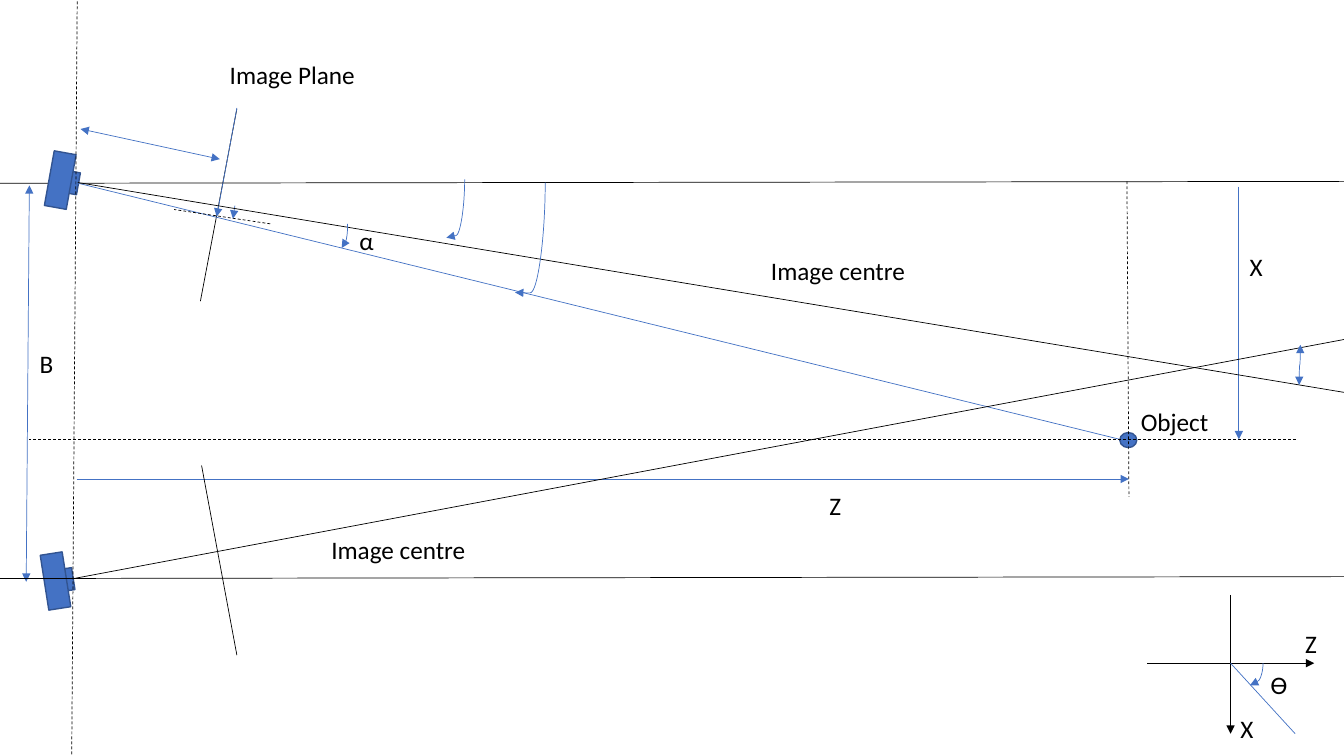
from lxml.etree import SubElement
from pptx import Presentation
from pptx.dml.color import RGBColor
from pptx.enum.dml import MSO_LINE
from pptx.enum.shapes import MSO_CONNECTOR, MSO_SHAPE
from pptx.enum.text import MSO_AUTO_SIZE, PP_ALIGN
from pptx.oxml.ns import qn
from pptx.util import Cm, Pt

BLACK = RGBColor(0x00, 0x00, 0x00)
BLUE = RGBColor(0x44, 0x72, 0xC4)
DARK_BLUE = RGBColor(0x32, 0x54, 0x91)
FONT = "Calibri"

HEAD, TAIL = "headEnd", "tailEnd"
BOTH = (HEAD, TAIL)
END = (TAIL,)

UPPER_LINES = [
    ((5.97, 2.74), (5.05, 7.59), {}),
    ((-0.97, 4.62), (34.32, 4.57), {}),
]

CAMERAS = [
    {"lens": (1.6, 4.32), "body": (1.24, 3.84), "angle": 10.2},
    {"lens": (1.47, 14.33), "body": (1.12, 13.94), "angle": 351.1},
]
LENS_SIZE = (0.38, 0.56)
BODY_SIZE = (0.56, 1.4)
OBJECT_DOT = (28.22, 10.9, 0.43, 0.38)

LINES = [
    ((31.01, 14.99), (31.01, 18.49), {"arrows": END}),
    ((28.91, 16.71), (33.12, 16.71), {"arrows": END}),
    ((31.01, 16.71), (32.64, 18.49), {"color": BLUE}),
    ((1.98, 4.62), (28.22, 11.07), {"color": BLUE}),
    ((2.03, 3.25), (5.54, 4.01), {"color": BLUE, "arrows": BOTH}),
    ((1.96, -1.98), (1.8, 20.02), {"dashed": True}),
    ((28.4, 4.57), (28.45, 12.52), {"dashed": True}),
    ((32.66, 11.07), (0.74, 11.07), {"dashed": True}),
    ((1.93, 12.07), (28.45, 12.07), {"color": BLUE, "arrows": END}),
    ((5.97, 2.72), (5.46, 5.46), {"color": BLUE, "arrows": END}),
    ((6.81, 5.64), (4.39, 5.28), {"dashed": True}),
    ((5.92, 5.18), (5.87, 5.51), {"color": BLUE, "arrows": END}),
    ((31.22, 4.7), (31.22, 11.07), {"color": BLUE, "arrows": END}),
    ((1.96, 4.6), (40.89, 11.05), {}),
    ((1.85, 14.58), (39.9, 7.42), {}),
    ((5.08, 11.73), (5.97, 16.51), {}),
    ((0.74, 4.67), (0.66, 14.66), {"color": BLUE, "arrows": BOTH}),
    ((-1.4, 14.58), (33.88, 14.53), {}),
]

ANGLE_ARCS = [
    ((31.83, 16.71), (31.5, 17.27), 85000, END),
    ((8.76, 5.64), (8.61, 6.25), 79600, END),
    ((11.71, 4.52), (11.25, 5.99), 96900, END),
    ((13.74, 4.6), (12.98, 7.37), 100400, END),
    ((32.77, 8.69), (32.74, 9.7), 50000, BOTH),
]

LABELS = [
    ("Z", 32.64, 15.72, 0.97),
    ("X", 31.01, 17.86, 0.97),
    ("ϴ", 31.77, 16.74, 1.1),
    ("Image Plane", 5.54, 1.37, 4.98),
    ("Image centre", 19.18, 6.32, 4.06),
    ("Object", 28.5, 10.11, 3.1),
    ("α", 8.81, 5.56, 2.13),
    ("Z", 20.65, 12.22, 0.91),
    ("X", 31.24, 6.22, 0.91),
    ("Image centre", 8.1, 13.34, 4.06),
]
BASELINE_LABEL = ("B", 0.66, 8.66, 1.02)


def add_line(s, start, end, color=BLACK, dashed=False, arrows=(),
             kind=MSO_CONNECTOR.STRAIGHT):
    c = s.shapes.add_connector(kind, *(Cm(v) for v in start + end))
    c.line.color.rgb = color
    c.line.width = Pt(0.5)
    if dashed:
        c.line.dash_style = MSO_LINE.DASH
    ln = c.line._get_or_add_ln()
    for arrow in arrows:
        SubElement(ln, qn("a:" + arrow)).set("type", "triangle")
    SubElement(c._element.spPr, qn("a:effectLst"))
    return c


def add_arc(s, start, end, bend, arrows):
    mid_x, mid_y = (start[0] + end[0]) / 2, (start[1] + end[1]) / 2
    half_w, half_h = (end[1] - start[1]) / 2, (start[0] - end[0]) / 2
    c = add_line(s, (mid_x - half_w, mid_y - half_h),
                 (mid_x + half_w, mid_y + half_h),
                 color=BLUE, arrows=arrows, kind=MSO_CONNECTOR.CURVE)
    sp_pr = c._element.spPr
    sp_pr.find(qn("a:xfrm")).set("rot", "5400000")
    guides = sp_pr.find(qn("a:prstGeom")).find(qn("a:avLst"))
    gd = SubElement(guides, qn("a:gd"))
    gd.set("name", "adj1")
    gd.set("fmla", f"val {bend}")


def add_solid(shapes, kind, box, angle=0):
    sp = shapes.add_shape(kind, *(Cm(v) for v in box))
    sp.rotation = angle
    sp.shadow.inherit = False
    sp.fill.solid()
    sp.fill.fore_color.rgb = BLUE
    sp.line.color.rgb = DARK_BLUE
    sp.line.width = Pt(1)


def add_label(s, text, left, top, width, align=PP_ALIGN.LEFT):
    tf = s.shapes.add_textbox(Cm(left), Cm(top), Cm(width), Cm(1.02)).text_frame
    tf.word_wrap = True
    tf.auto_size = MSO_AUTO_SIZE.SHAPE_TO_FIT_TEXT
    p = tf.paragraphs[0]
    p.alignment = align
    r = p.add_run()
    r.text = text
    r.font.name = FONT
    r.font.size = Pt(18)
    r.font.color.rgb = BLACK


def main():
    prs = Presentation()
    prs.slide_width, prs.slide_height = Cm(33.87), Cm(19.05)
    s = prs.slides.add_slide(prs.slide_layouts[6])

    for start, end, style in UPPER_LINES:
        add_line(s, start, end, **style)
    for camera in CAMERAS:
        group = s.shapes.add_group_shape()
        for part, size in (("lens", LENS_SIZE), ("body", BODY_SIZE)):
            add_solid(group.shapes, MSO_SHAPE.RECTANGLE,
                      camera[part] + size, camera["angle"])
    add_solid(s.shapes, MSO_SHAPE.OVAL, OBJECT_DOT)
    for start, end, style in LINES:
        add_line(s, start, end, **style)
    for arc in ANGLE_ARCS:
        add_arc(s, *arc)
    for label in LABELS:
        add_label(s, *label)
    add_label(s, *BASELINE_LABEL, align=PP_ALIGN.CENTER)

    prs.save("out.pptx")


if __name__ == "__main__":
    main()
